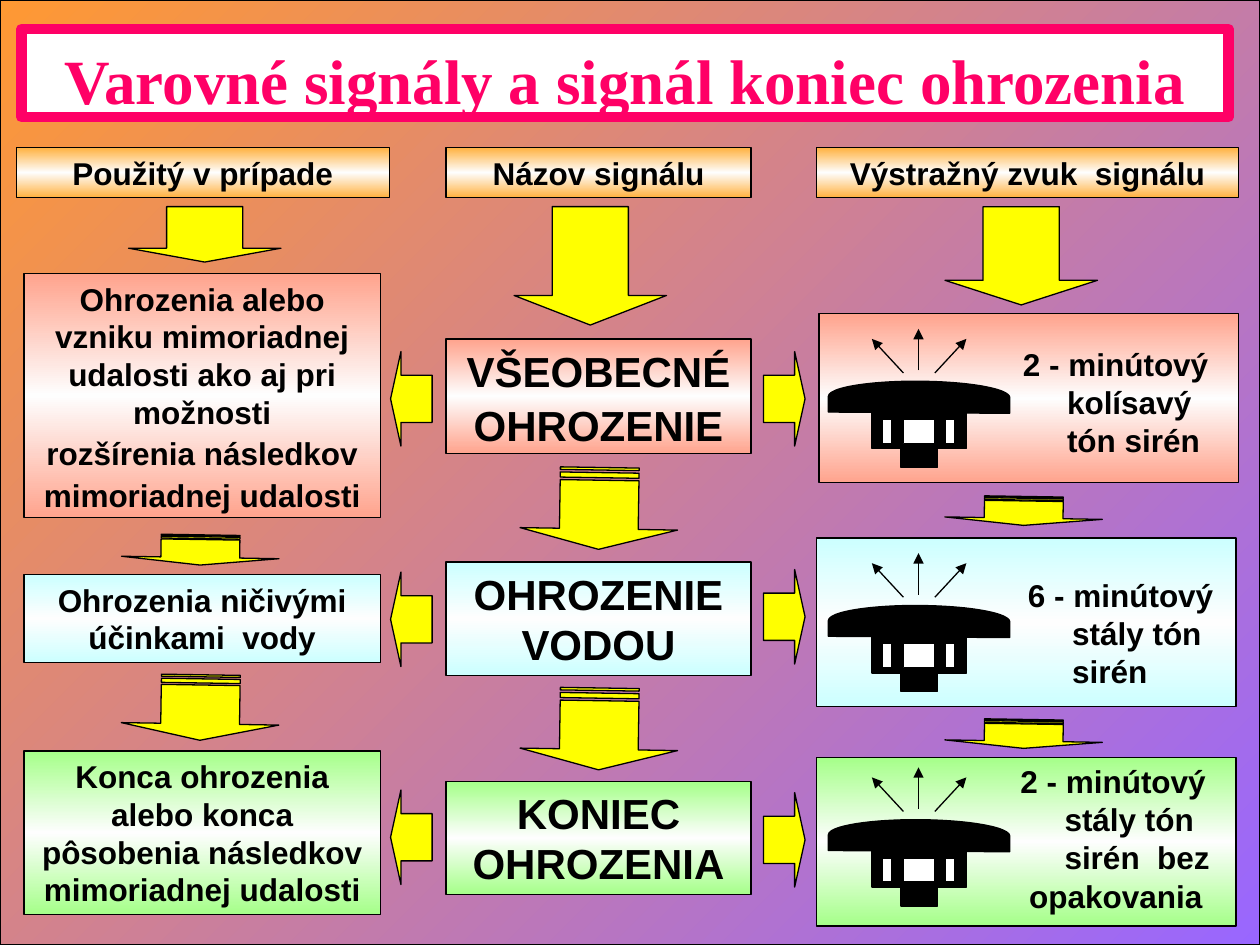
from copy import deepcopy
from dataclasses import dataclass

from pptx import Presentation
from pptx.dml.color import RGBColor
from pptx.enum.shapes import MSO_CONNECTOR as Link, MSO_SHAPE as Form
from pptx.enum.text import MSO_ANCHOR as Anchor, PP_ALIGN as Align
from pptx.oxml.ns import qn
from pptx.util import Inches, Pt

BLACK = RGBColor(0x00, 0x00, 0x00)
WHITE = RGBColor(0xFF, 0xFF, 0xFF)
PALE = RGBColor(0xFE, 0xFE, 0xFE)
PINK = RGBColor(0xFF, 0x00, 0x66)
YELLOW = RGBColor(0xFF, 0xFF, 0x00)
VIOLET = RGBColor(0x99, 0x66, 0xFF)
ORANGE = RGBColor(0xFF, 0x99, 0x33)
AMBER = RGBColor(0xFF, 0xB1, 0x3F)
SALMON = RGBColor(0xFF, 0xA3, 0x8D)
AQUA = RGBColor(0xCC, 0xFF, 0xFF)
GREEN = RGBColor(0xA5, 0xFF, 0x89)

Area = tuple[float, float, float, float]


@dataclass
class Box:
    area: Area
    hue: RGBColor
    lines: tuple[str, ...]
    size: int = 18
    gap: float = 11.2


@dataclass
class Panel:
    """A siren box; each line is its text and its left indent."""
    area: Area
    hue: RGBColor
    drop: float
    note: Area
    lines: tuple[tuple[str, float], ...]


HEAD_TOP, HEAD_HIGH = 1.17, 0.4
CASE_LEFT, CASE_WIDE = 0.19, 2.83
NAME_LEFT, NAME_WIDE = 3.54, 2.42
PANEL_WIDE, PANEL_HIGH = 3.33, 1.34
STEP = 0.35

BOXES = (
    Box((0.13, HEAD_TOP, 2.96, HEAD_HIGH), AMBER, ("Použitý v prípade",)),
    Box((NAME_LEFT, HEAD_TOP, NAME_WIDE, HEAD_HIGH), AMBER, ("Názov signálu",)),
    Box((6.48, HEAD_TOP, 3.35, HEAD_HIGH), AMBER, ("Výstražný zvuk  signálu",)),
    Box((CASE_LEFT, 2.17, CASE_WIDE, 1.94), SALMON, (
        "Ohrozenia alebo vzniku mimoriadnej udalosti ako aj pri možnosti",
        "rozšírenia následkov", "mimoriadnej udalosti")),
    Box((CASE_LEFT, 4.56, CASE_WIDE, 0.7), AQUA,
        ("Ohrozenia ničivými účinkami  vody",)),
    Box((CASE_LEFT, 5.96, CASE_WIDE, 1.3), GREEN, (
        "Konca ohrozenia alebo konca pôsobenia následkov mimoriadnej udalosti",)),
    Box((NAME_LEFT, 2.69, NAME_WIDE, 0.91), SALMON,
        ("VŠEOBECNÉ", "OHROZENIE"), 24, 15),
    Box((NAME_LEFT, 4.46, NAME_WIDE, 0.9), AQUA, ("OHROZENIE VODOU",), 24),
    Box((NAME_LEFT, 6.2, NAME_WIDE, 0.9), GREEN, ("KONIEC OHROZENIA",), 24),
)

PANELS = (
    Panel((6.5, 2.49, PANEL_WIDE, PANEL_HIGH), SALMON, 0, (8.02, 2.69, 1.71, 0.98),
          (("2 - minútový", 0), ("kolísavý", STEP), ("tón sirén", STEP))),
    Panel((6.48, 4.27, PANEL_WIDE, PANEL_HIGH), AQUA, 1.78, (8.06, 4.52, 1.69, 0.98),
          (("6 - minútový", 0), ("stály tón", STEP), ("sirén", STEP))),
    Panel((6.48, 6.01, PANEL_WIDE, PANEL_HIGH), GREEN, 3.48, (8, 6, 1.71, 1.29),
          (("2 - minútový", 0), ("stály tón", STEP), ("sirén  bez", STEP),
           ("opakovania", 0.07))),
)

# Siren parts and sound rays, placed for the top panel
PARTS = (
    (Form.FLOWCHART_DELAY, (7.17, 2.43, 0.25, 1.44), BLACK, 270.4),
    (Form.FLOWCHART_PROCESS, (6.92, 3.27, 0.75, 0.29), BLACK, 0),
    (Form.FLOWCHART_PROCESS, (7.15, 3.56, 0.29, 0.15), BLACK, 0),
    (Form.FLOWCHART_PROCESS, (7, 3.33, 0.08, 0.19), WHITE, 0),
    (Form.FLOWCHART_PROCESS, (7.5, 3.33, 0.08, 0.19), WHITE, 0),
    (Form.FLOWCHART_PROCESS, (7.17, 3.33, 0.25, 0.19), WHITE, 0),
)
RAYS = ((7.29, 2.94, 7.29, 2.61), (7.42, 2.96, 7.67, 2.69), (7.17, 2.96, 6.92, 2.69))

HEAD_ARROWS = ((1.02, 0.44), (4.08, 0.94), (7.5, 0.78))
RIGHT_TOPS = (2.79, 4.52, 6.29)
LEFT_TOPS = (2.79, 4.54, 6.27)
STRIPED = ((4.43, 3.41, 0.65), (4.43, 5.16, 0.65), (1.47, 3.74, 0.24),
           (1.33, 4.99, 0.52), (8.01, 3.43, 0.23), (8.01, 5.2, 0.23))


def add_form(shapes, form: Form, area: Area, hue: RGBColor | None = None,
             turn: float = 0):
    shape = shapes.add_shape(form, *map(Inches, area))
    shape.rotation = turn
    shape.shadow.inherit = False
    shape.line.color.rgb = BLACK
    shape.line.width = Pt(0.75)
    if hue is not None:
        shape.fill.solid()
        shape.fill.fore_color.rgb = hue
    return shape


def blend(shape, hues: tuple[RGBColor, ...], angle: float) -> None:
    """Fill with evenly spaced colours; the angle runs anticlockwise."""
    shape.fill.gradient()
    shape.fill.gradient_angle = angle
    first = shape.fill._fill._gradFill.find(qn("a:gsLst"))[0]
    for _ in hues[2:]:
        first.addnext(deepcopy(first))
    for i, (stop, hue) in enumerate(zip(shape.fill.gradient_stops, hues)):
        stop.position = i / (len(hues) - 1)
        stop.color.rgb = hue


def add_band(shapes, area: Area, hue: RGBColor):
    shape = add_form(shapes, Form.RECTANGLE, area)
    blend(shape, (hue, PALE, hue), 270)
    return shape


def write(shape, lines: tuple[str, ...], size: int, align: Align, face: str = "Arial",
          hue: RGBColor = BLACK, gap: float = 0, tight: float = 1) -> None:
    frame = shape.text_frame
    frame.word_wrap = True
    frame.vertical_anchor = Anchor.TOP
    frame.text = "\n".join(lines)
    for i, para in enumerate(frame.paragraphs):
        para.alignment = align
        if i:
            para.line_spacing = tight
            para.space_before, para.space_after = Pt(gap), Pt(2)
        else:
            para.space_before = Pt(0)
        font = para.runs[0].font
        font.name, font.size, font.bold = face, Pt(size), True
        font.color.rgb = hue


def add_siren(slide, drop: float) -> None:
    group = slide.shapes.add_group_shape()
    for form, (x, y, w, h), hue, turn in PARTS:
        add_form(group.shapes, form, (x, y + drop, w, h), hue, turn)
    for x1, y1, x2, y2 in RAYS:
        ray = group.shapes.add_connector(
            Link.STRAIGHT, *map(Inches, (x1, y1 + drop, x2, y2 + drop)))
        ray.line.color.rgb = BLACK
        ray.line.width = Pt(0.75)
        props = ray._element.spPr
        tip = props.find(qn("a:ln")).makeelement(qn("a:tailEnd"), {"type": "triangle"})
        props.find(qn("a:ln")).append(tip)
        props.append(props.makeelement(qn("a:effectLst"), {}))


def add_panel(slide, panel: Panel) -> None:
    add_band(slide.shapes, panel.area, panel.hue)
    add_siren(slide, panel.drop)
    note = slide.shapes.add_textbox(*map(Inches, panel.note))
    write(note, tuple(text for text, _ in panel.lines), 18, Align.LEFT,
          gap=11.2, tight=0.4)
    for para, (_, indent) in zip(note.text_frame.paragraphs, panel.lines):
        para._p.get_or_add_pPr().set("marL", str(Inches(indent)))


def add_arrow(slide, form: Form, area: Area, turn: float = 0) -> None:
    arrow = add_form(slide.shapes, form, area, YELLOW, turn)
    arrow.adjustments[0], arrow.adjustments[1] = 0.5, 0.25


def set_title(slide) -> None:
    title = slide.shapes.title
    title.left, title.top, title.width, title.height = map(
        Inches, (0.17, 0.23, 9.58, 0.7))
    title.fill.solid()
    title.fill.fore_color.rgb = WHITE
    title.line.color.rgb = PINK
    title.line.width = Pt(6)
    write(title, ("Varovné signály a signál koniec ohrozenia",), 36, Align.CENTER,
          "Times New Roman", PINK)
    title.text_frame.margin_top = Inches(0.1)
    slide.shapes._spTree.append(title._element)  # bring to front


def main() -> None:
    deck = Presentation()
    deck.slide_width, deck.slide_height = Inches(10), Inches(7.5)
    slide = deck.slides.add_slide(deck.slide_layouts[5])
    back = add_form(slide.shapes, Form.RECTANGLE, (0, 0, 10, 7.5))
    blend(back, (VIOLET, ORANGE), 135)
    for box in BOXES:
        shape = add_band(slide.shapes, box.area, box.hue)
        write(shape, box.lines, box.size, Align.CENTER, gap=box.gap, tight=0.5)
    for panel in PANELS:
        add_panel(slide, panel)
    for x, high in HEAD_ARROWS:
        add_arrow(slide, Form.DOWN_ARROW, (x, 1.64, 1.21, high))
    for y in RIGHT_TOPS:
        add_arrow(slide, Form.RIGHT_ARROW, (6.06, y, 0.33, 0.75))
    for y in LEFT_TOPS:
        add_arrow(slide, Form.LEFT_ARROW, (3.1, y, 0.33, 0.75))
    for x, y, wide in STRIPED:
        add_arrow(slide, Form.STRIPED_RIGHT_ARROW, (x, y, wide, 1.25), 90.9)
    set_title(slide)
    deck.save("out.pptx")


if __name__ == "__main__":
    main()
